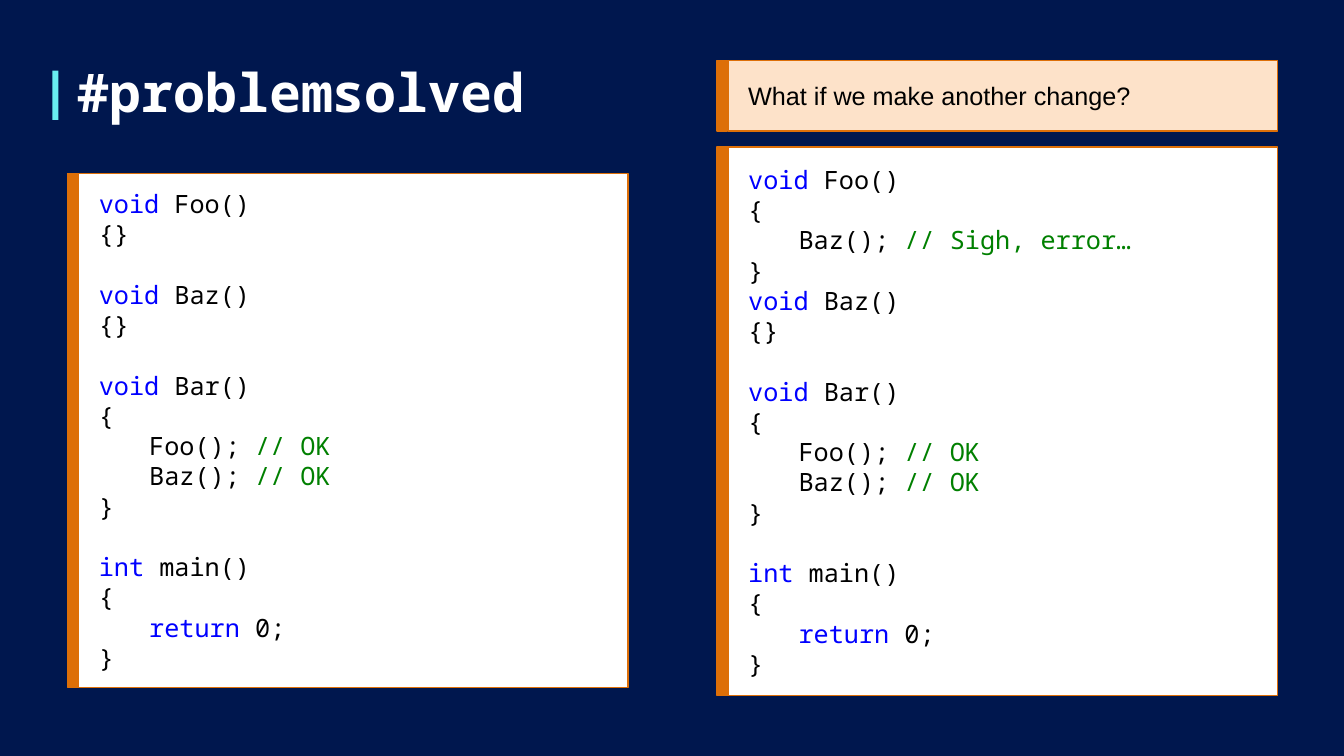
from lxml.etree import SubElement
from pptx import Presentation
from pptx.dml.color import RGBColor
from pptx.enum.shapes import MSO_SHAPE
from pptx.enum.text import MSO_ANCHOR, PP_ALIGN
from pptx.oxml.ns import qn
from pptx.util import Pt

PX = 9144
NAVY = RGBColor(0x00, 0x17, 0x4E)
CYAN = RGBColor(0x69, 0xEE, 0xF0)
ORANGE = RGBColor(0xDD, 0x6F, 0x08)
PEACH = RGBColor(0xFD, 0xE2, 0xC9)
WHITE = RGBColor(0xFF, 0xFF, 0xFF)
BLACK = RGBColor(0x00, 0x00, 0x00)
BLUE = RGBColor(0x00, 0x00, 0xFF)
GREEN = RGBColor(0x00, 0x80, 0x00)
MONO = "Noto Sans Mono"

deck = Presentation()
deck.slide_width = 1333 * PX
deck.slide_height = 750 * PX
slide = deck.slides.add_slide(deck.slide_layouts[6])
slide.background.fill.solid()
slide.background.fill.fore_color.rgb = NAVY


def add_rect(left, top, width, height, fill, edge=None):
    rect = slide.shapes.add_shape(
        MSO_SHAPE.RECTANGLE, left * PX, top * PX, width * PX, height * PX)
    rect.shadow.inherit = False
    rect.fill.solid()
    rect.fill.fore_color.rgb = fill
    if edge is None:
        rect.line.fill.background()
    else:
        rect.line.color.rgb = edge
        rect.line.width = Pt(1)
    return rect


def add_run(para, text, color, font=MONO, size=18, bold=False):
    run = para.add_run()
    run.text = text
    run.font.name = font
    run.font.size = Pt(size)
    run.font.bold = bold
    run.font.color.rgb = color


add_rect(52, 70, 6, 49, CYAN)
title = slide.shapes.add_textbox(67 * PX, 61 * PX, 1190 * PX, 68 * PX)
frame = title.text_frame
frame.word_wrap = True
frame.vertical_anchor = MSO_ANCHOR.MIDDLE
frame.paragraphs[0].line_spacing = 0.9
add_run(frame.paragraphs[0], "#problemsolved", WHITE, size=38, bold=True)

open_line = [("{", BLACK)]
close_line = [("}", BLACK)]
empty_body = [("{}", BLACK)]
foo_head, baz_head, bar_head = (
    [("void", BLUE), (f" {name}()", BLACK)] for name in ("Foo", "Baz", "Bar"))
foo_call, baz_call = (
    [(f"\t{name}(); ", BLACK), ("// OK", GREEN)] for name in ("Foo", "Baz"))
bad_call = [("\tBaz(); ", BLACK), ("// Sigh, error…", GREEN)]
bar_block = [bar_head, open_line, foo_call, baz_call, close_line]
main_block = [
    [("int", BLUE), (" main()", BLACK)],
    open_line,
    [("\t", BLACK), ("return", BLUE), (" 0;", BLACK)],
    close_line,
]
first_code = [[foo_head, empty_body], [baz_head, empty_body], bar_block, main_block]
next_code = [
    [foo_head, open_line, bad_call, close_line, baz_head, empty_body],
    bar_block,
    main_block,
]
question = [[[("What if we make another change?", BLACK)]]]

panels = [
    (67, 172, 510, 11, WHITE, MONO, first_code),
    (711, 146, 544, 11, WHITE, MONO, next_code),
    (711, 60, 70, 10, PEACH, "Arial", question),
]
for left, top, height, bar, fill, font, blocks in panels:
    panel = add_rect(left + 11, top, 545, height, fill, ORANGE)
    frame = panel.text_frame
    frame.word_wrap = True
    frame.vertical_anchor = MSO_ANCHOR.MIDDLE
    frame.margin_left = frame.margin_right = 20 * PX
    frame.margin_top = frame.margin_bottom = 20 * PX
    para = None
    for block in blocks:
        for row, line in enumerate(block):
            is_first = para is None
            para = frame.paragraphs[0] if is_first else frame.add_paragraph()
            para.alignment = PP_ALIGN.LEFT
            if row == 0 and not is_first:
                para.space_before = Pt(21.6)
            if line[0][0].startswith("\t"):
                tabs = SubElement(para._p.get_or_add_pPr(), qn("a:tabLst"))
                SubElement(tabs, qn("a:tab"), pos=str(50 * PX), algn="l")
            for text, color in line:
                add_run(para, text, color, font)
    add_rect(left, top, bar, height, ORANGE, ORANGE)

deck.save("out.pptx")
